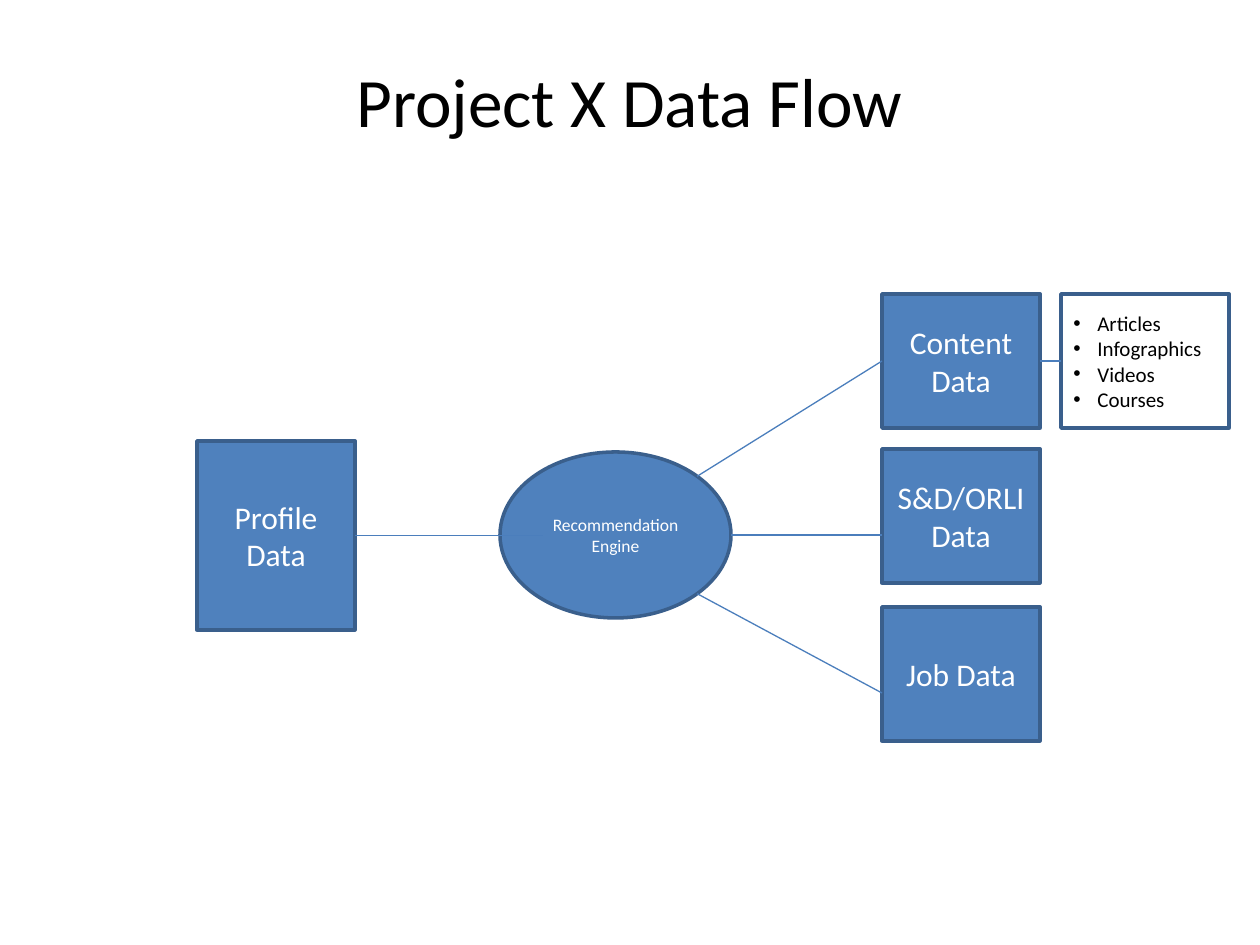
import pptx
import pptx.util
import pptx.dml.color
import pptx.enum.shapes
import pptx.enum.text
import lxml.etree
import math

# Content: places are (left, top, width, height) in px
TITLE = ("Project X Data Flow", (94, 63, 1071, 74))
PROFILE = ("Profile Data", (197, 441, 158, 189))
ENGINE = ("Recommendation\nEngine", (500, 452, 231, 166))
# label, top, drop of the line's end below the box centre, angle on the engine
SOURCES = [
    ("Content Data", 294, 0, -45),
    ("S&D/ORLI Data", 449, 19, 0),
    ("Job Data", 607, 19, 45),
]
SOURCE_LEFT, SOURCE_WIDTH, SOURCE_HEIGHT = 882, 158, 134
CONTENT_KINDS = ("Articles\nInfographics\nVideos\nCourses", (1061, 294, 168, 134))
PROFILE_LINE_END = 543
BULLET_INDENT = 24

THEME = {
    "font": "Calibri",
    "fill": "4F81BD", "edge": "3A5F8C", "link": "4B7EBC",
    "light": "FFFFFF", "dark": "000000",
    "title": 39.6, "box": 18, "list": 12, "engine": 10,
    "edge_width": 2, "link_width": 0.75,
}
PX = 914400 / 126
SHAPE = pptx.enum.shapes.MSO_SHAPE
ALIGN = pptx.enum.text.PP_ALIGN


def emu(*lengths):
    return [pptx.util.Emu(round(length * PX)) for length in lengths]


def color(name):
    return pptx.dml.color.RGBColor.from_string(THEME[name])


def write(shape, text, size, ink, align=ALIGN.CENTER):
    frame = shape.text_frame
    frame.text = text
    frame.word_wrap = True
    frame.vertical_anchor = pptx.enum.text.MSO_ANCHOR.MIDDLE
    for paragraph in frame.paragraphs:
        paragraph.alignment = align
        for run in paragraph.runs:
            run.font.name = THEME["font"]
            run.font.size = pptx.util.Pt(THEME[size])
            run.font.color.rgb = color(ink)


def add_node(slide, kind, text, place, size="box", fill="fill", ink="light",
             align=ALIGN.CENTER):
    node = slide.shapes.add_shape(kind, *emu(*place))
    node.shadow.inherit = False
    node.fill.solid()
    node.fill.fore_color.rgb = color(fill)
    node.line.color.rgb = color("edge")
    node.line.width = pptx.util.Pt(THEME["edge_width"])
    write(node, text, size, ink, align)
    return node


def add_link(slide, start, end):
    link = slide.shapes.add_connector(
        pptx.enum.shapes.MSO_CONNECTOR.STRAIGHT, *emu(*start, *end))
    link.line.color.rgb = color("link")
    link.line.width = pptx.util.Pt(THEME["link_width"])
    properties = link._element.spPr
    lxml.etree.SubElement(properties, pptx.oxml.ns.qn("a:effectLst"))


def add_bullets(shape):
    indent, = emu(BULLET_INDENT)
    for paragraph in shape.text_frame.paragraphs:
        properties = paragraph._p.get_or_add_pPr()
        properties.set("marL", str(indent))
        properties.set("indent", str(-indent))
        font = lxml.etree.SubElement(properties, pptx.oxml.ns.qn("a:buFont"))
        font.set("typeface", "Arial")
        bullet = lxml.etree.SubElement(properties, pptx.oxml.ns.qn("a:buChar"))
        bullet.set("char", "•")


def main():
    deck = pptx.Presentation()
    deck.slide_width, deck.slide_height = emu(1260, 945)
    slide = deck.slides.add_slide(deck.slide_layouts[6])

    # Title
    title_text, title_place = TITLE
    title = slide.shapes.add_textbox(*emu(*title_place))
    write(title, title_text, "title", "dark")
    title.text_frame.margin_top = title.text_frame.margin_bottom = 0

    # Profile, data sources and engine
    add_node(slide, SHAPE.RECTANGLE, *PROFILE)
    for label, top, _, _ in SOURCES:
        add_node(slide, SHAPE.RECTANGLE, label,
                 (SOURCE_LEFT, top, SOURCE_WIDTH, SOURCE_HEIGHT))
    add_node(slide, SHAPE.OVAL, *ENGINE, size="engine")

    # Links to the engine
    left, top, width, height = PROFILE[1]
    profile_middle = top + height / 2
    add_link(slide, (left + width, profile_middle),
             (PROFILE_LINE_END, profile_middle))
    left, top, width, height = ENGINE[1]
    for _, source_top, drop, degrees in SOURCES:
        angle = math.radians(degrees)
        rim = (left + width / 2 * (1 + math.cos(angle)),
               top + height / 2 * (1 + math.sin(angle)))
        add_link(slide, rim, (SOURCE_LEFT, source_top + SOURCE_HEIGHT / 2 + drop))

    # Kinds of content
    kinds = add_node(slide, SHAPE.RECTANGLE, *CONTENT_KINDS, size="list",
                     fill="light", ink="dark", align=ALIGN.LEFT)
    add_bullets(kinds)
    left, top, _, height = CONTENT_KINDS[1]
    middle = top + height / 2
    add_link(slide, (SOURCE_LEFT + SOURCE_WIDTH, middle), (left, middle))

    deck.save("out.pptx")


if __name__ == "__main__":
    main()
